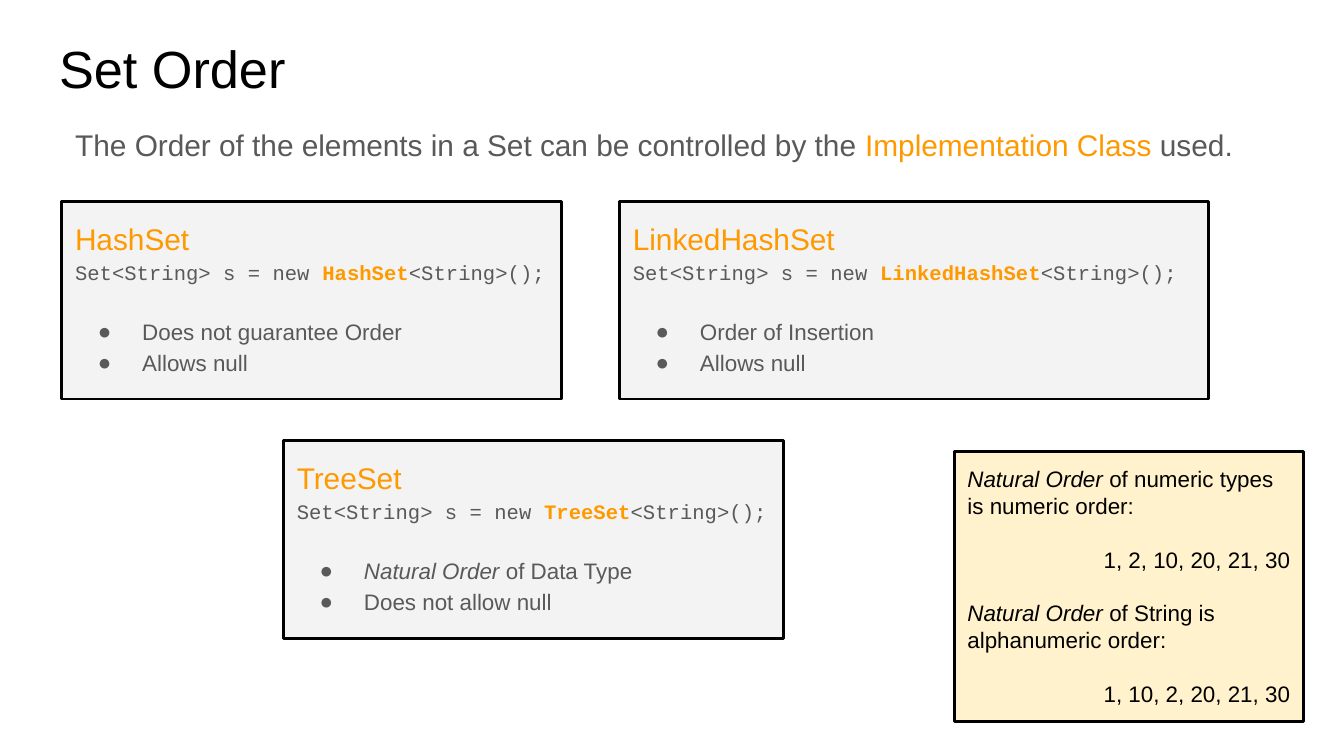
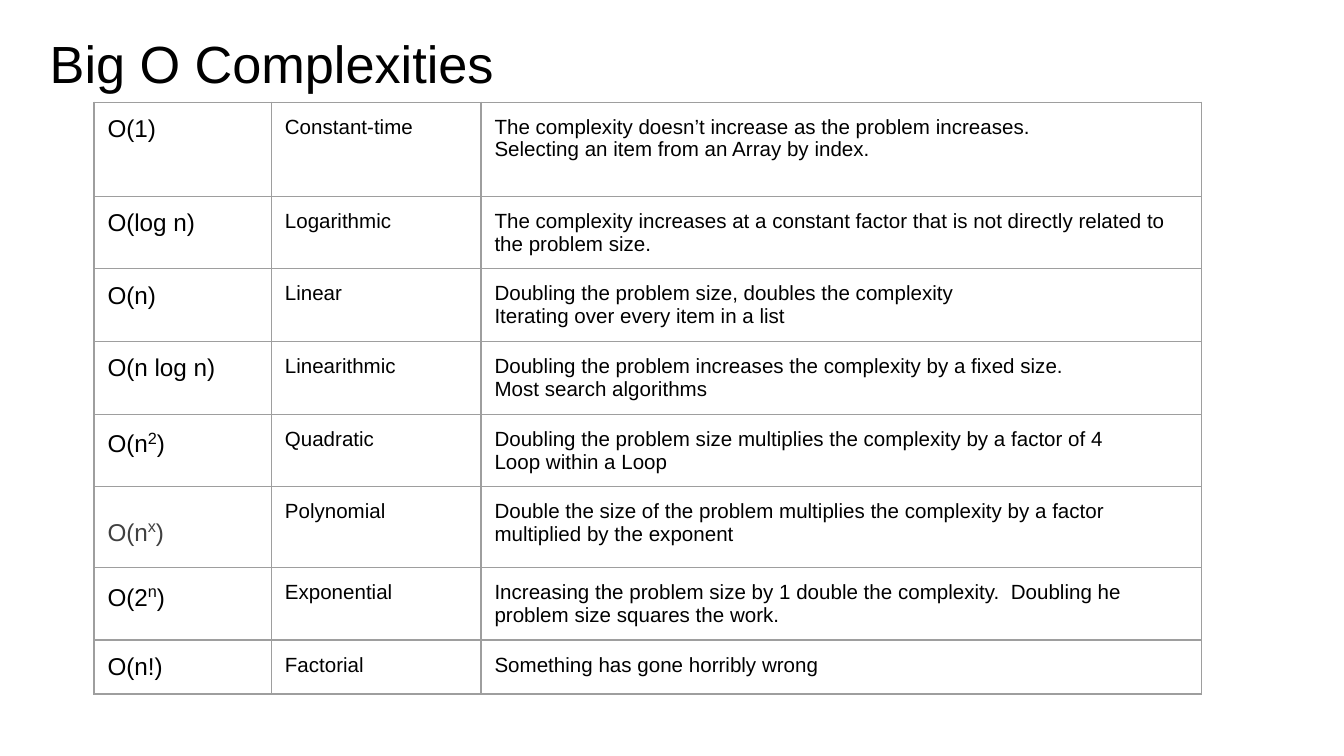
from lxml.etree import SubElement
from pptx import Presentation
from pptx.dml.color import RGBColor
from pptx.enum.shapes import MSO_SHAPE as Shape
from pptx.enum.text import MSO_ANCHOR as Anchor, MSO_AUTO_SIZE as AutoSize, PP_ALIGN as Align
from pptx.oxml.ns import qn
from pptx.util import Inches, Pt

COLORS = {
    "black": "000000", "gray": "595959", "dark": "404040", "orange": "FF9900",
    "card": "F3F3F3", "note": "FFF2CC", "border": "9E9E9E",
}
SANS, MONO = "Arial", "Courier New"
SLIDE_WIDTH = 10
SLIDE_HEIGHT = SLIDE_WIDTH * 9 / 16

# Slide 1 content: name, (left, top, width), bullets made of (text, italic) runs
CARD_HEIGHT = 1.47
CARDS = [
    ("HashSet", (0.46, 1.5, 3.72), [[("Does not guarantee Order", False)], [("Allows null", False)]]),
    ("LinkedHashSet", (4.61, 1.5, 4.38), [[("Order of Insertion", False)], [("Allows null", False)]]),
    ("TreeSet", (2.11, 3.28, 3.72),
     [[("Natural Order", True), (" of Data Type", False)], [("Does not allow null", False)]]),
]
INTRO = [
    ("The Order of the elements in a Set can be controlled by the ", "gray"),
    ("Implementation Class", "orange"), (" used.", "gray"),
]
NOTES = [
    (" of numeric types is numeric order:", "1, 2, 10, 20, 21, 30"),
    (" of String is alphanumeric order:", "1, 10, 2, 20, 21, 30"),
]

# Slide 2 content: base, exponent, closing, name, description, row height
COLUMN_WIDTHS = [1.32, 1.56, 5.36]
COMPLEXITIES = [
    ("O(1)", "", "", "Constant-time",
     ["The complexity doesn’t increase as the problem increases.\nSelecting an item from an Array by index."], 0.7),
    ("O(log n)", "", "", "Logarithmic",
     ["The complexity increases at a constant factor that is not directly related to the problem size."], 0.54),
    ("O(n)", "", "", "Linear",
     ["Doubling the problem size, doubles the complexity", "Iterating over every item in a list"], 0.54),
    ("O(n log n)", "", "", "Linearithmic",
     ["Doubling the problem increases the complexity by a fixed size.", "Most search algorithms"], 0.54),
    ("O(n", "2", ")", "Quadratic",
     ["Doubling the problem size multiplies the complexity by a factor of 4", "Loop within a Loop"], 0.54),
    ("O(n", "x", ")", "Polynomial",
     ["Double the size of the problem multiplies the complexity by a factor multiplied by the exponent"], 0.6),
    ("O(2", "n", ")", "Exponential",
     ["Increasing the problem size by 1 double the complexity.  Doubling he problem size squares the work. "], 0.54),
    ("O(n!)", "", "", "Factorial", ["Something has gone horribly wrong"], 0.4),
]


def color(name):
    return RGBColor.from_string(COLORS[name])


def add_run(paragraph, text, size, color_name="black", font=SANS, bold=False, italic=False):
    run = paragraph.add_run()
    run.text = text
    run.font.name, run.font.size = font, Pt(size)
    run.font.bold, run.font.italic = bold, italic
    run.font.color.rgb = color(color_name)
    return run


def next_paragraph(frame, spacing=1.0, before=0, align=Align.LEFT):
    """Use the first paragraph while it is empty, then add new ones."""
    first = frame.paragraphs[0]
    paragraph = frame.add_paragraph() if first.runs else first
    paragraph.alignment, paragraph.line_spacing = align, spacing
    paragraph.space_before, paragraph.space_after = Pt(before), Pt(0)
    return paragraph


def set_bullet(paragraph, character=None):
    properties = paragraph._p.get_or_add_pPr()
    properties.set("marL", str(Inches(0.5 if character else 0)))
    properties.set("indent", str(Inches(-0.33 if character else 0)))
    if character:
        bullet_color = SubElement(properties, qn("a:buClr"))
        SubElement(bullet_color, qn("a:srgbClr"), val=COLORS["gray"])
        SubElement(properties, qn("a:buSzPts"), val="1200")
        SubElement(properties, qn("a:buFont"), typeface=SANS)
        SubElement(properties, qn("a:buChar"), char=character)
    else:
        SubElement(properties, qn("a:buNone"))


def set_frame(frame):
    frame.word_wrap, frame.auto_size = True, AutoSize.NONE
    frame.vertical_anchor = Anchor.TOP
    frame.margin_left = frame.margin_right = Inches(0.1)
    frame.margin_top = frame.margin_bottom = Inches(0.1)
    return frame


def place(shape, left, top, width, height):
    shape.left, shape.top = Inches(left), Inches(top)
    shape.width, shape.height = Inches(width), Inches(height)
    return set_frame(shape.text_frame)


def add_titled_slide(layout_index, title, left, top):
    slide = presentation.slides.add_slide(presentation.slide_layouts[layout_index])
    frame = place(slide.shapes.title, left, top, 9.32, 0.63)
    add_run(next_paragraph(frame), title, 28)
    return slide


def add_box(slide, left, top, width, height, fill):
    box = slide.shapes.add_shape(Shape.RECTANGLE, Inches(left), Inches(top), Inches(width), Inches(height))
    box.shadow.inherit = False
    box.fill.solid()
    box.fill.fore_color.rgb = color(fill)
    box.line.color.rgb = color("black")
    box.line.width = Pt(1.5)
    return set_frame(box.text_frame)


def set_borders(cell):
    properties = cell._tc.get_or_add_tcPr()
    for side in ("lnL", "lnR", "lnT", "lnB"):
        line = SubElement(properties, qn("a:" + side), w=str(Pt(0.75)))
        fill = SubElement(line, qn("a:solidFill"))
        SubElement(fill, qn("a:srgbClr"), val=COLORS["border"])


presentation = Presentation()
presentation.slide_width, presentation.slide_height = Inches(SLIDE_WIDTH), Inches(SLIDE_HEIGHT)

# Slide 1: set implementations
slide = add_titled_slide(1, "Set Order", 0.34, 0.17)
paragraph = next_paragraph(place(slide.placeholders[1], 0.46, 0.8, 9.32, 0.44), 1.15)
set_bullet(paragraph)
for text, color_name in INTRO:
    add_run(paragraph, text, 16, color_name)

for name, (left, top, width), bullets in CARDS:
    frame = add_box(slide, left, top, width, CARD_HEIGHT, "card")
    paragraph = next_paragraph(frame, 1.15)
    add_run(paragraph, name, 16, "orange")
    paragraph.add_line_break()
    add_run(paragraph, "Set<String> s = new ", 11, "gray", MONO)
    add_run(paragraph, name, 11, "orange", MONO, bold=True)
    add_run(paragraph, "<String>();", 11, "gray", MONO)
    for index, runs in enumerate(bullets):
        paragraph = next_paragraph(frame, 1.15, before=0 if index else 16)
        set_bullet(paragraph, "●")
        for text, italic in runs:
            add_run(paragraph, text, 12, "gray", italic=italic)

# Note on natural order
frame = add_box(slide, 7.1, 3.36, 2.6, 2.01, "note")
for index, (text, example) in enumerate(NOTES):
    paragraph = next_paragraph(frame, before=14.4 if index else 0)
    add_run(paragraph, "Natural Order", 12, italic=True)
    add_run(paragraph, text, 12)
    add_run(next_paragraph(frame, before=14.4, align=Align.RIGHT), example, 12)

# Slide 2: complexity table
slide = add_titled_slide(5, "Big O Complexities", 0.27, 0.13)
heights = [row[-1] for row in COMPLEXITIES]
table = slide.shapes.add_table(
    len(COMPLEXITIES), len(COLUMN_WIDTHS), Inches(0.7), Inches(0.76),
    Inches(sum(COLUMN_WIDTHS)), Inches(sum(heights))).table
table.first_row = table.horz_banding = False
for column, width in zip(table.columns, COLUMN_WIDTHS):
    column.width = Inches(width)

for row, (base, exponent, closing, name, description, height) in zip(table.rows, COMPLEXITIES):
    row.height = Inches(height)
    for cell in row.cells:
        cell.margin_left = cell.margin_right = Inches(0.1)
        cell.margin_top = cell.margin_bottom = Inches(0.1)
        set_borders(cell)
        cell.fill.background()
    notation, label, details = [cell.text_frame for cell in row.cells]

    polynomial = exponent == "x"
    shade = "dark" if polynomial else "black"
    paragraph = next_paragraph(notation, 1.5 if polynomial else 1.0)
    if polynomial:
        paragraph.space_after = Pt(18)
    add_run(paragraph, base, 13, shade)
    if exponent:
        raised = add_run(paragraph, exponent, 15, shade)
        raised._r.get_or_add_rPr().set("baseline", "30000")
        add_run(paragraph, closing, 13, shade)

    add_run(next_paragraph(label), name, 11)
    for text in description:
        paragraph = next_paragraph(details)
        for index, line in enumerate(text.split("\n")):
            if index:
                paragraph.add_line_break()
            add_run(paragraph, line, 11)

presentation.save("out.pptx")
